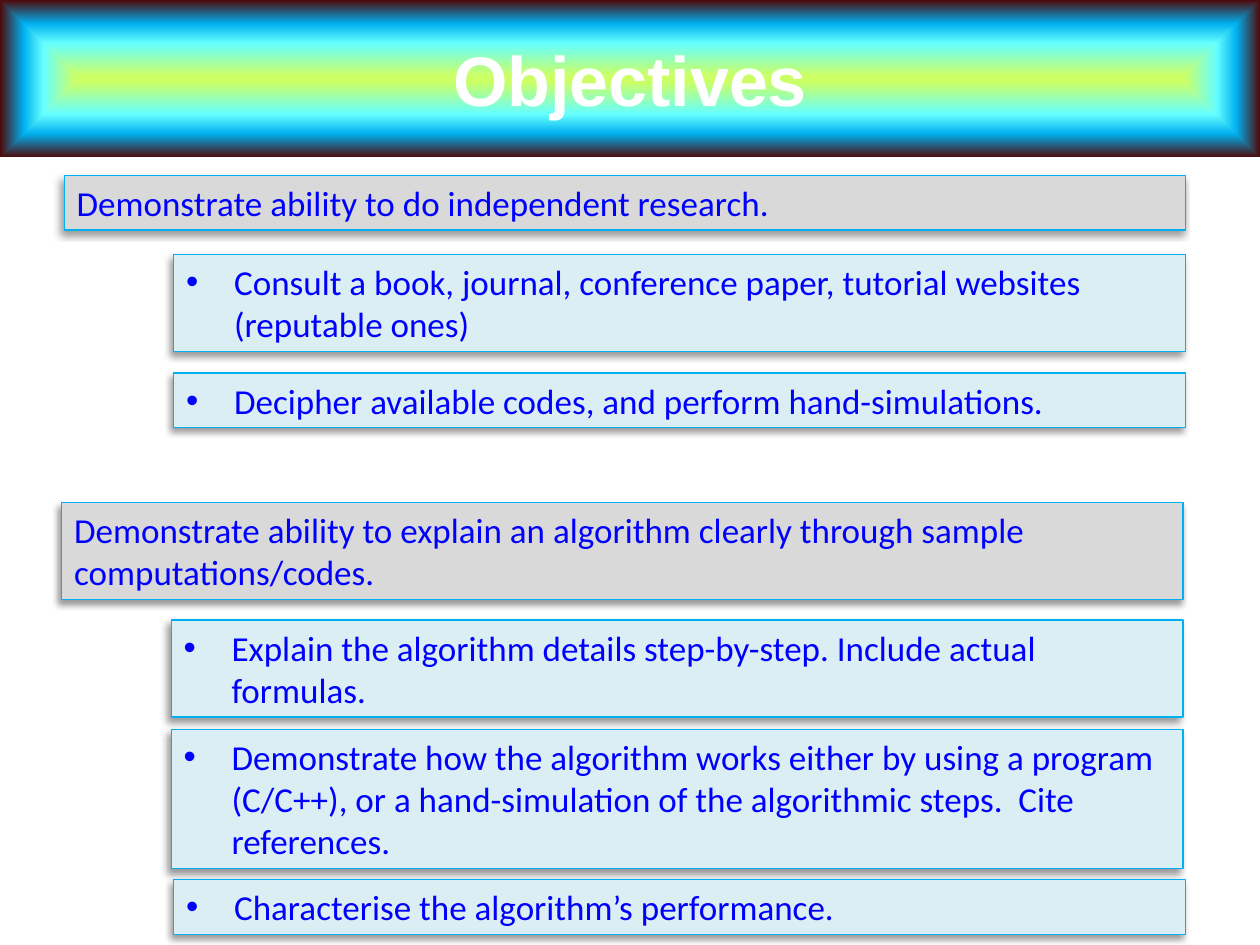
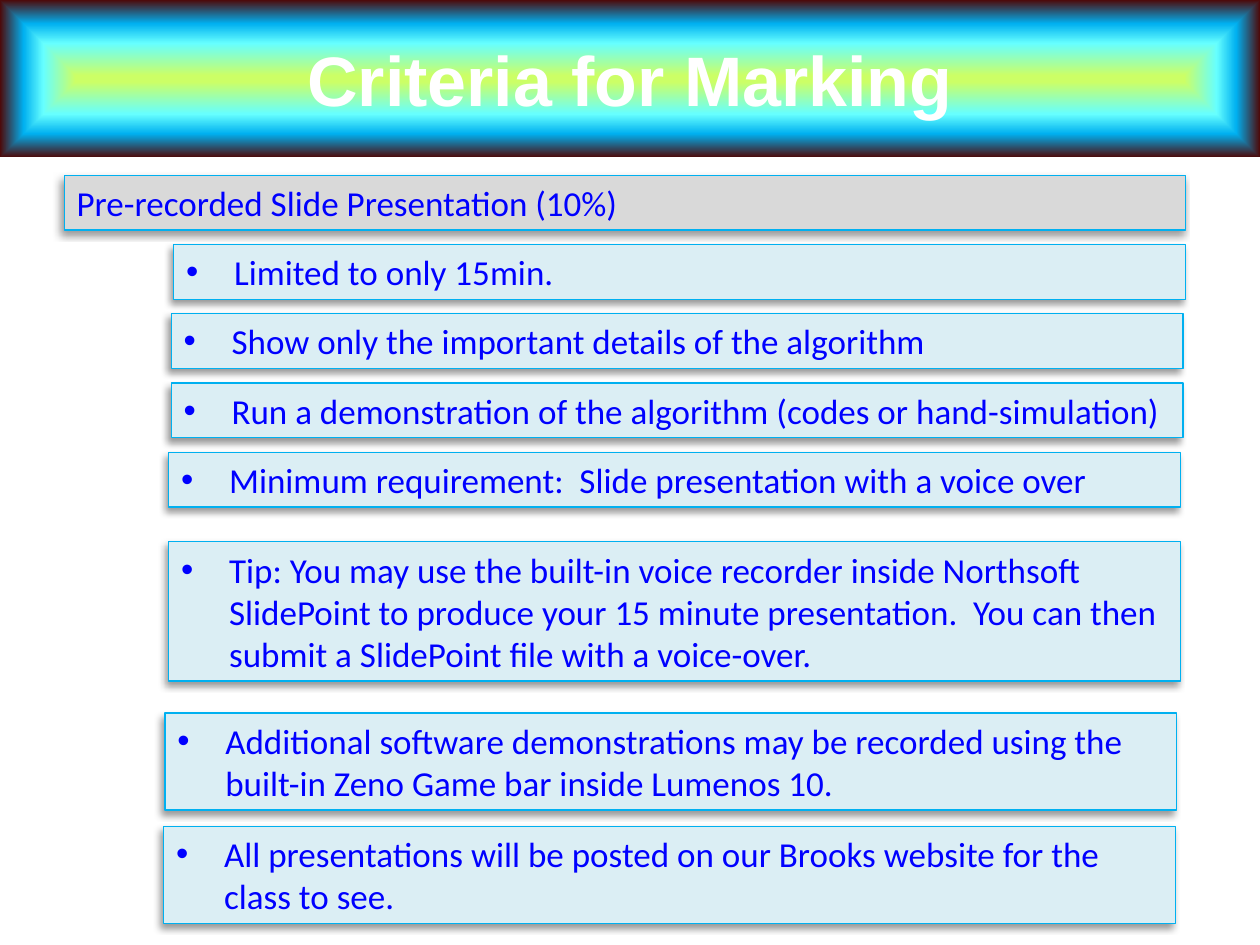
from lxml import etree
from pptx import Presentation
from pptx.dml.color import RGBColor
from pptx.enum.text import MSO_ANCHOR as Anchor, MSO_AUTO_SIZE as AutoSize, PP_ALIGN as Align
from pptx.oxml import parse_xml
from pptx.oxml.ns import nsdecls, qn
from pptx.util import Inches, Pt

# Content: title, then boxes as (kind, left, top, lines, text)
STEP = 0.55
FIRST_TOP = 1.39
SLIDES = [
    ("Objectives", [
        ("heading", 0.51, FIRST_TOP, 1, "Demonstrate ability to do independent research."),
        ("bullet", 1.38, 2.02, 2, "Consult a book, journal, conference paper, tutorial websites (reputable ones)"),
        ("bullet", 1.38, 2.96, 1, "Decipher available codes, and perform hand-simulations."),
        ("heading", 0.49, 3.99, 2, "Demonstrate ability to explain an algorithm clearly through sample "
                                   "computations/codes."),
        ("bullet", 1.36, 4.92, 2, "Explain the algorithm details step-by-step. Include actual formulas."),
        ("bullet", 1.36, 5.79, 3, "Demonstrate how the algorithm works either by using a program (C/C++), "
                                  "or a hand-simulation of the algorithmic steps.  Cite references."),
        ("bullet", 1.38, 6.98, 1, "Characterise the algorithm’s performance."),
    ]),
    ("Criteria for Marking", [
        ("heading", 0.51, FIRST_TOP, 1, "Pre-recorded Slide Presentation (10%)"),
        ("bullet", 1.38, FIRST_TOP + STEP, 1, "Limited to only 15min."),
        ("bullet", 1.36, FIRST_TOP + 2 * STEP, 1, "Show only the important details of the algorithm"),
        ("bullet", 1.36, FIRST_TOP + 3 * STEP, 1,
         "Run a demonstration of the algorithm (codes or hand-simulation)"),
        ("bullet", 1.34, FIRST_TOP + 4 * STEP, 1,
         "Minimum requirement:  Slide presentation with a voice over"),
        ("bullet", 1.34, 4.3, 3, "Tip: You may use the built-in voice recorder inside Northsoft SlidePoint "
                                 "to produce your 15 minute presentation.  You can then submit a "
                                 "SlidePoint file with a voice-over."),
        ("bullet", 1.31, 5.66, 2, "Additional software demonstrations may be recorded using the built-in "
                                  "Zeno Game bar inside Lumenos 10."),
        ("bullet", 1.3, 6.56, 2, "All presentations will be posted on our Brooks website for the class to see."),
    ]),
]

# Shared look
WHITE = RGBColor(0xFF, 0xFF, 0xFF)
BLUE = RGBColor(0x00, 0x00, 0xFF)
SKY = RGBColor(0x00, 0xB0, 0xF0)
GREY = RGBColor(0xD9, 0xD9, 0xD9)
PALE_BLUE = RGBColor(0xDB, 0xEE, 0xF4)
LIME = RGBColor(0xCC, 0xFF, 0x66)
AQUA = RGBColor(0x66, 0xFF, 0xFF)
MAROON = RGBColor(0x4D, 0x08, 0x08)

BAND_STOPS = [(4, LIME), (45, AQUA), (70, SKY), (100, MAROON)]
TITLE_FONT = {"name": "Arial", "size": Pt(40), "bold": True}
BOX_FONT = {"name": "Calibri", "size": Pt(20)}
BOX_STYLE = {"heading": (8.9, GREY), "bullet": (8.03, PALE_BLUE)}
BOX_FRAME = {"word_wrap": True, "auto_size": AutoSize.SHAPE_TO_FIT_TEXT}
TITLE_FRAME = {"word_wrap": True, "auto_size": AutoSize.NONE, "vertical_anchor": Anchor.MIDDLE}
LINE_HEIGHT, BOX_PADDING = 0.335, 0.1
INDENT = Inches(0.38)


def set_attrs(obj, values):
    for name, value in values.items():
        setattr(obj, name, value)


def format_font(font, values, color):
    set_attrs(font, values)
    font.color.rgb = color


def add_title(s, text):
    sp = s.shapes.title
    set_attrs(sp, {"left": 0, "top": 0, "width": Inches(10), "height": Inches(1.25)})
    stops = "".join(f'<a:gs pos="{pos * 1000}"><a:srgbClr val="{color}"/></a:gs>'
                    for pos, color in BAND_STOPS)
    sp._element.spPr.append(parse_xml(
        f'<a:gradFill {nsdecls("a")} rotWithShape="1"><a:gsLst>{stops}</a:gsLst><a:path path="shape">'
        '<a:fillToRect l="50000" t="50000" r="50000" b="50000"/></a:path></a:gradFill>'))
    tf = sp.text_frame
    set_attrs(tf, TITLE_FRAME)
    p = tf.paragraphs[0]
    p.alignment = Align.CENTER
    r = p.add_run()
    r.text = text
    format_font(r.font, TITLE_FONT, WHITE)


def add_shadow(sp):
    sp._element.spPr.append(parse_xml(
        f'<a:effectLst {nsdecls("a")}><a:outerShdw blurRad="{Pt(4)}" dist="{Pt(3)}" dir="{135 * 60000}" '
        'algn="tr" rotWithShape="0"><a:srgbClr val="000000"><a:alpha val="40000"/></a:srgbClr>'
        '</a:outerShdw></a:effectLst>'))


def add_bullet(p):
    pPr = p._p.get_or_add_pPr()
    pPr.set("marL", str(INDENT))
    pPr.set("indent", str(-INDENT))
    etree.SubElement(pPr, qn("a:buFont")).set("typeface", "Arial")
    etree.SubElement(pPr, qn("a:buChar")).set("char", "•")


def add_box(s, kind, left, top, lines, text):
    width, fill = BOX_STYLE[kind]
    height = BOX_PADDING + lines * LINE_HEIGHT
    sp = s.shapes.add_textbox(*map(Inches, (left, top, width, height)))
    sp.fill.solid()
    sp.fill.fore_color.rgb = fill
    sp.line.color.rgb = SKY
    sp.line.width = Pt(0.75)
    add_shadow(sp)
    set_attrs(sp.text_frame, BOX_FRAME)
    p = sp.text_frame.paragraphs[0]
    if kind == "bullet":
        add_bullet(p)
    r = p.add_run()
    r.text = text
    format_font(r.font, BOX_FONT, BLUE)


def main():
    prs = Presentation()
    prs.slide_width, prs.slide_height = Inches(10), Inches(7.5)
    title_only = prs.slide_layouts[5]
    for title, boxes in SLIDES:
        s = prs.slides.add_slide(title_only)
        add_title(s, title)
        for box in boxes:
            add_box(s, *box)
    prs.save("out.pptx")


if __name__ == "__main__":
    main()
